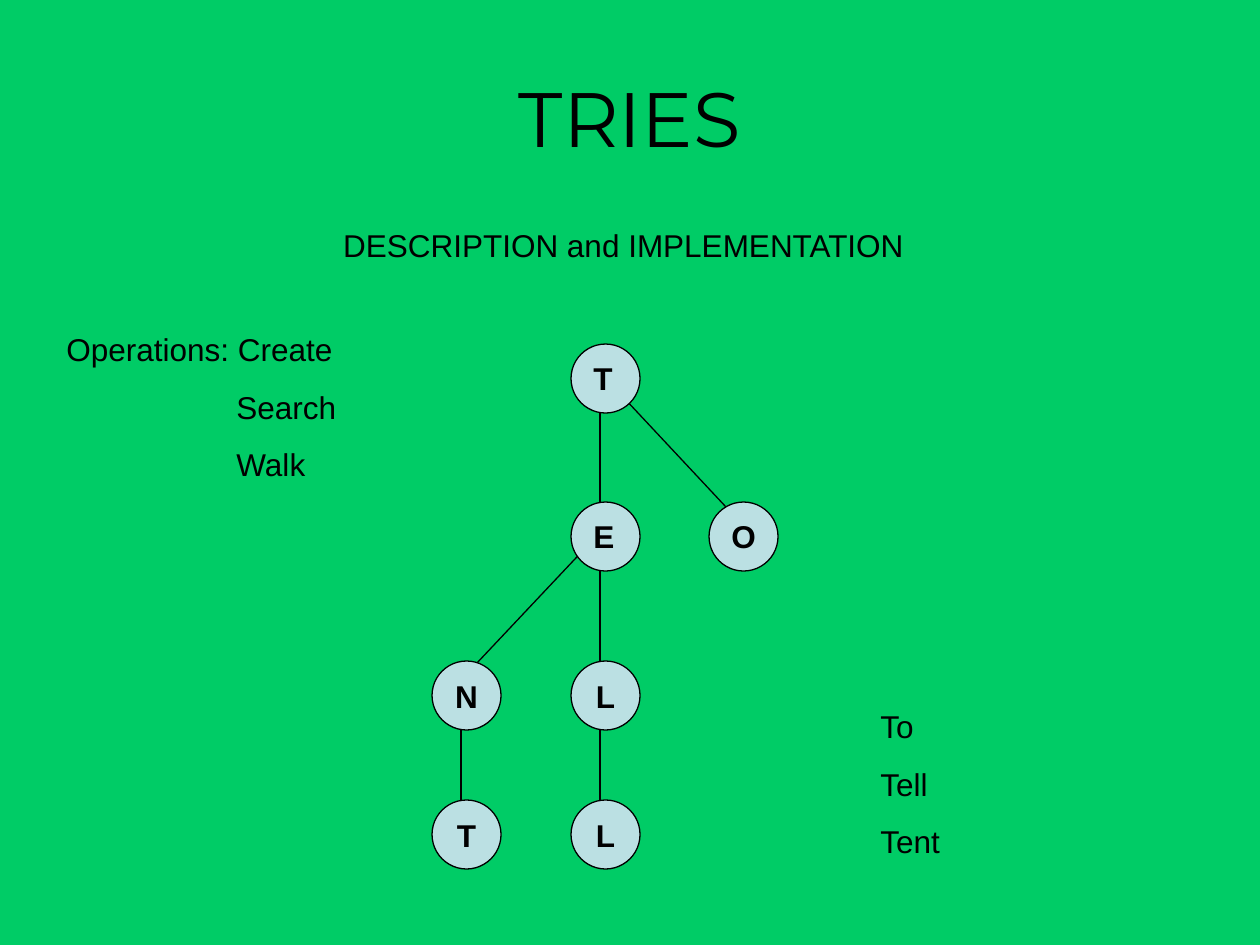
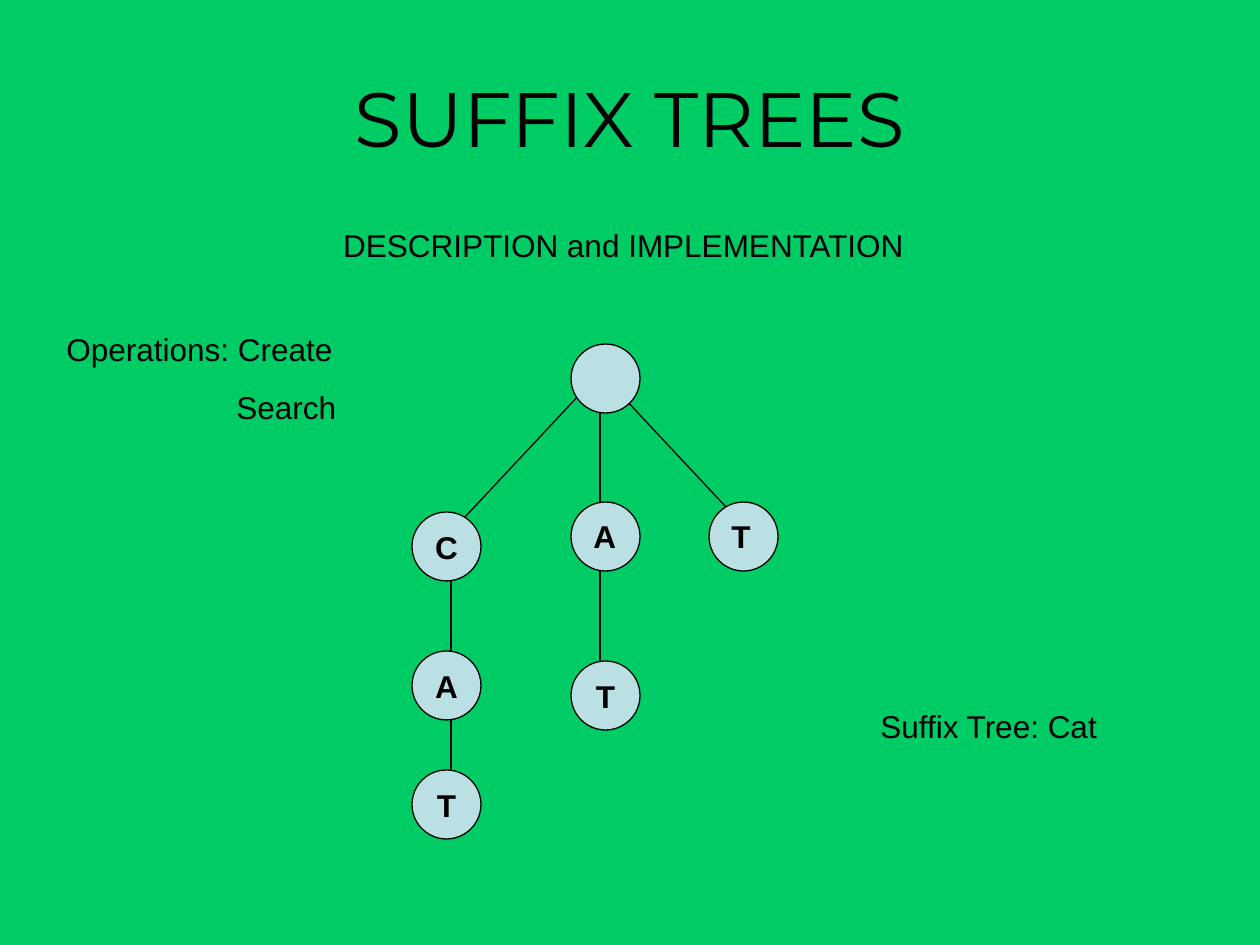
from dataclasses import dataclass
from lxml.etree import SubElement
from pptx import Presentation
from pptx.dml.color import RGBColor
from pptx.enum.shapes import MSO_CONNECTOR, MSO_SHAPE
from pptx.enum.text import MSO_ANCHOR, PP_ALIGN
from pptx.oxml.ns import qn
from pptx.util import Emu, Pt

SCALE = 914400 / 126


def px(n):
    return Emu(round(n * SCALE))


@dataclass(frozen=True)
class Theme:
    back: RGBColor = RGBColor(0x00, 0xCC, 0x66)
    disc: RGBColor = RGBColor(0xBB, 0xE0, 0xE3)
    ink: RGBColor = RGBColor(0, 0, 0)
    head: str = "Montserrat"
    body: str = "Arial"
    big: int = 44
    small: int = 18
    rule: float = 0.75
    gap: float = 11.2
    node: int = 69


class Deck:
    def __init__(self, theme):
        self.theme = theme
        self.prs = Presentation()
        self.prs.slide_width, self.prs.slide_height = px(1260), px(945)
        self.slide = None

    def page(self, title):
        """Start a slide with its background, title and subtitle."""
        self.slide = self.prs.slides.add_slide(self.prs.slide_layouts[6])
        fill = self.slide.background.fill
        fill.solid()
        fill.fore_color.rgb = self.theme.back
        self.text(63, 38, 1134, 157, [title], font=self.theme.head,
                  size=self.theme.big, align=PP_ALIGN.CENTER,
                  anchor=MSO_ANCHOR.MIDDLE)
        self.text(63, 220, 1113, 63, ["DESCRIPTION and IMPLEMENTATION"],
                  align=PP_ALIGN.CENTER, first=8)

    def add_run(self, para, text, font=None, size=None, bold=False):
        run = para.add_run()
        run.text = text
        run.font.name = font or self.theme.body
        run.font.size = Pt(size or self.theme.small)
        run.font.bold = bold
        run.font.color.rgb = self.theme.ink

    def text(self, x, y, w, h, lines, align=PP_ALIGN.LEFT,
             anchor=MSO_ANCHOR.TOP, first=0, rest=0, **style):
        """Add a text box; first and rest are the left indents of its lines."""
        box = self.slide.shapes.add_textbox(px(x), px(y), px(w), px(h))
        frame = box.text_frame
        frame.word_wrap = True
        frame.vertical_anchor = anchor
        for i, line in enumerate(lines):
            para = frame.add_paragraph() if i else frame.paragraphs[0]
            para.alignment = align
            if i:
                para.space_before = Pt(self.theme.gap)
            props = para._p.get_or_add_pPr()
            props.set("marL", str(px(rest if i else first)))
            props.set("indent", "0")
            self.add_run(para, line, **style)

    def edge(self, x1, y1, x2, y2):
        line = self.slide.shapes.add_connector(
            MSO_CONNECTOR.STRAIGHT, px(x1), px(y1), px(x2), px(y2))
        line.line.color.rgb = self.theme.ink
        line.line.width = Pt(self.theme.rule)
        SubElement(line._element.spPr, qn("a:effectLst"))

    def node(self, x, y, mark="", label=0):
        """Add a tree node; a label width sets its letter in a box on top."""
        side = px(self.theme.node)
        disc = self.slide.shapes.add_shape(
            MSO_SHAPE.OVAL, px(x), px(y), side, side)
        disc.shadow.inherit = False
        disc.fill.solid()
        disc.fill.fore_color.rgb = self.theme.disc
        disc.line.color.rgb = self.theme.ink
        disc.line.width = Pt(self.theme.rule)
        if label:
            self.text(x + 10, y + 9, label, 50, [mark], bold=True)
        elif mark:
            frame = disc.text_frame
            frame.word_wrap = False
            frame.vertical_anchor = MSO_ANCHOR.MIDDLE
            para = frame.paragraphs[0]
            para.alignment = PP_ALIGN.CENTER
            self.add_run(para, mark, bold=True)

    def tree(self, edges, nodes):
        for ends in edges:
            self.edge(*ends)
        for item in nodes:
            self.node(*item)

    def notes(self, steps, words):
        """Add the operations at left and the sample words at right."""
        self.text(54, 324, 397, 50 + 58 * (len(steps) - 1),
                  ["Operations: " + steps[0], *steps[1:]], rest=170)
        self.text(868, 701, 338, 50 + 58 * (len(words) - 1), words)


def main():
    deck = Deck(Theme())
    mid, right = 571, 709
    top, second, third, last = 344, 502, 661, 800
    fork = (610, 383, 740, 522)

    deck.page("TRIES")
    left = 432
    deck.tree(
        [(461, 701, 461, 839), (591, 542, 461, 680), fork,
         (600, 373, 600, 839)],
        [(mid, top, "T", 40), (mid, second, "E", 30), (mid, third, "L"),
         (mid, last, "L"), (left, third, "N"), (left, last, "T"),
         (right, second, "O", 39)])
    deck.notes(["Create", "Search", "Walk"], ["To", "Tell", "Tent"])

    deck.page("SUFFIX TREES")
    left = 412
    deck.tree(
        [(600, 542, 600, 680), (600, 393, 600, 532), (451, 662, 451, 800),
         (451, 562, 451, 701), (581, 393, 451, 532), fork],
        [(mid, top), (mid, second, "A", 30), (mid, third, "T"),
         (left, 512, "C"), (left, 651, "A"), (left, 770, "T"),
         (right, second, "T", 39)])
    deck.notes(["Create", "Search"], ["Suffix Tree: Cat"])

    deck.prs.save("out.pptx")


if __name__ == "__main__":
    main()
